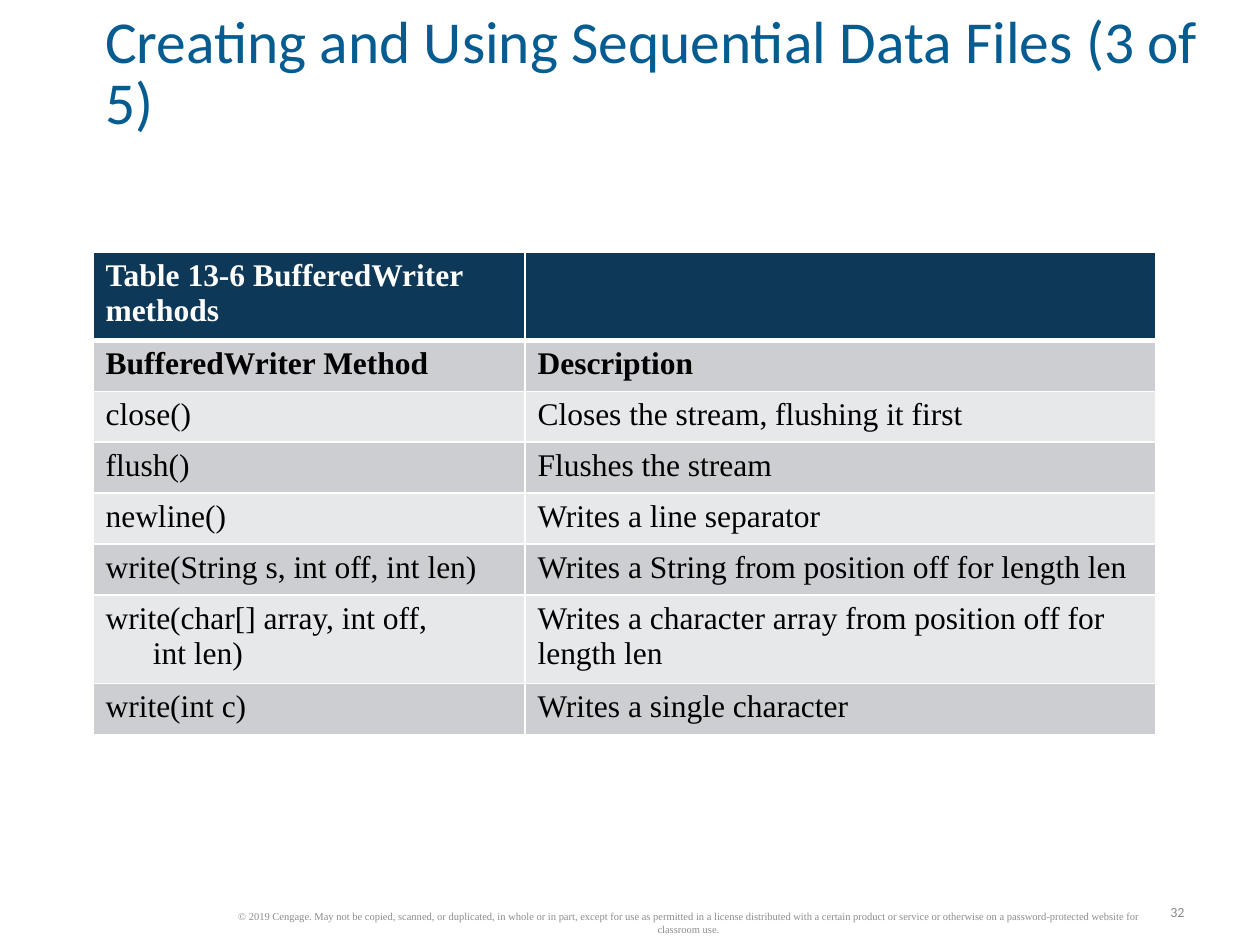
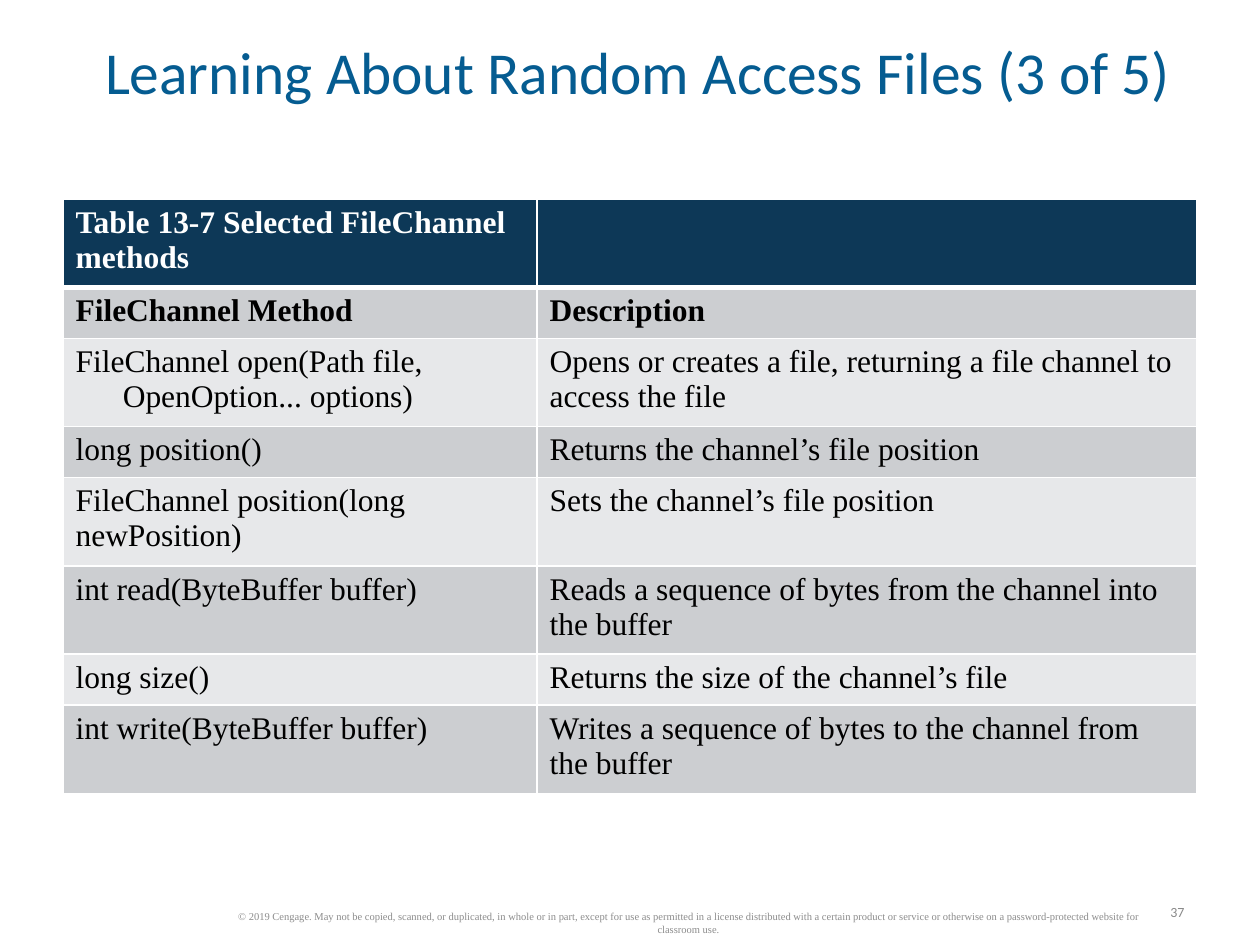
from dataclasses import dataclass

from lxml import etree
from pptx import Presentation
from pptx.dml.color import RGBColor
from pptx.enum.text import MSO_ANCHOR, MSO_AUTO_SIZE, PP_ALIGN
from pptx.oxml.ns import qn
from pptx.util import Emu, Pt

PX_PER_INCH = 126
EMU_PER_PX = 914400 / PX_PER_INCH
TITLE_ONLY = 5
MIDDLE = MSO_ANCHOR.MIDDLE
GROW = MSO_AUTO_SIZE.SHAPE_TO_FIT_TEXT
LEFT, CENTER, RIGHT = PP_ALIGN.LEFT, PP_ALIGN.CENTER, PP_ALIGN.RIGHT


@dataclass(frozen=True)
class Theme:
    heading_font: str = "Calibri"
    body_font: str = "Times New Roman"
    title_color: str = "055C91"
    header_fill: str = "0D3857"
    header_text: str = "FFFFFF"
    body_text: str = "000000"
    dark_band: str = "CCCED1"
    light_band: str = "E7E8EA"
    border: str = "FFFFFF"
    footer_color: str = "8C8C8C"
    number_color: str = "898989"
    title_size: int = 34
    table_size: int = 18
    number_size: int = 8
    footer_size: int = 6
    thin_line: int = 1
    thick_line: int = 3
    single_row: int = 51
    double_row: int = 88


COPYRIGHT = (
    "© 2019 Cengage. May not be copied, scanned, or duplicated, in whole or in part, "
    "except for use as permitted in a license distributed with a certain product or "
    "service or otherwise on a password-protected website for classroom use."
)

WRITER_METHODS = [
    ("Table 13-6 BufferedWriter methods", ""),
    ("BufferedWriter Method", "Description"),
    ("close()", "Closes the stream, flushing it first"),
    ("flush()", "Flushes the stream"),
    ("newline()", "Writes a line separator"),
    ("write(String s, int off, int len)",
     "Writes a String from position off for length len"),
    ("write(char[] array, int off,\n      int len)",
     "Writes a character array from position off for length len"),
    ("write(int c)", "Writes a single character"),
]

CHANNEL_METHODS = [
    ("Table 13-7 Selected FileChannel methods", ""),
    ("FileChannel Method", "Description"),
    ("FileChannel open(Path file,\n      OpenOption... options)",
     "Opens or creates a file, returning a file channel to access the file"),
    ("long position()", "Returns the channel’s file position"),
    ("FileChannel position(long newPosition)", "Sets the channel’s file position"),
    ("int read(ByteBuffer buffer)",
     "Reads a sequence of bytes from the channel into the buffer"),
    ("long size()", "Returns the size of the channel’s file"),
    ("int write(ByteBuffer buffer)",
     "Writes a sequence of bytes to the channel from the buffer"),
]


def emu(px):
    return Emu(round(px * EMU_PER_PX))


class Deck:
    def __init__(self, theme):
        self.theme = theme
        self.slide = None
        self.presentation = Presentation()
        self.presentation.slide_width = emu(10 * PX_PER_INCH)
        self.presentation.slide_height = emu(945)

    def set_text(self, frame, text, font, size, color, bold=False, align=LEFT):
        frame.text = text
        for paragraph in frame.paragraphs:
            paragraph.alignment = align
            paragraph.font.name = font
            paragraph.font.size = Pt(size)
            paragraph.font.bold = bold
            paragraph.font.color.rgb = RGBColor.from_string(color)

    def add_slide(self, title, title_width, number):
        """Start a slide with its title, page number and copyright line."""
        layout = self.presentation.slide_layouts[TITLE_ONLY]
        self.slide = self.presentation.slides.add_slide(layout)
        self.add_title(title, title_width)
        theme = self.theme
        page = self.add_text(str(number), (1154, 897, 43, 30), theme.heading_font,
                             theme.number_size, theme.number_color, RIGHT)
        page.word_wrap = False
        page.auto_size = GROW
        self.add_text(COPYRIGHT, (221, 906, 935, 34), theme.body_font,
                      theme.footer_size, theme.footer_color, CENTER)

    def add_title(self, text, width):
        theme = self.theme
        title = self.slide.shapes.title
        title.left, title.top, title.width, title.height = map(emu, (105, 45, width, 62))
        frame = title.text_frame
        frame.margin_left = frame.margin_right = frame.margin_top = frame.margin_bottom = 0
        frame.vertical_anchor = MIDDLE
        frame.word_wrap = True
        frame.auto_size = GROW
        self.set_text(frame, text, theme.heading_font, theme.title_size, theme.title_color)
        frame.paragraphs[0].line_spacing = 0.85

    def add_text(self, text, box, font, size, color, align):
        frame = self.slide.shapes.add_textbox(*map(emu, box)).text_frame
        frame.word_wrap = True
        frame.vertical_anchor = MIDDLE
        self.set_text(frame, text, font, size, color, align=align)
        return frame

    def add_method_table(self, rows, left, top, column_widths, double_rows):
        """Draw a banded table; double_rows are the rows that hold two lines."""
        theme = self.theme
        heights = [theme.double_row if index in double_rows else theme.single_row
                   for index in range(len(rows))]
        frame = self.slide.shapes.add_table(
            len(rows), len(column_widths),
            *map(emu, (left, top, sum(column_widths), sum(heights))))
        table = frame.table
        table.horz_banding = False
        for column, width in zip(table.columns, column_widths):
            column.width = emu(width)
        for index, (values, height) in enumerate(zip(rows, heights)):
            table.rows[index].height = emu(height)
            for column, value in enumerate(values):
                self.format_cell(table.cell(index, column), value, index)

    def format_cell(self, cell, text, row):
        theme = self.theme
        is_header = row == 0
        self.add_borders(cell, row)
        band = theme.dark_band if row % 2 else theme.light_band
        cell.fill.solid()
        cell.fill.fore_color.rgb = RGBColor.from_string(
            theme.header_fill if is_header else band)
        self.set_text(cell.text_frame, text, theme.body_font, theme.table_size,
                      theme.header_text if is_header else theme.body_text, bold=row < 2)

    def add_borders(self, cell, row):
        """Outline a cell, with a thick rule between rows 0 and 1."""
        theme = self.theme
        thick_side = {0: "lnB", 1: "lnT"}.get(row)
        properties = cell._tc.get_or_add_tcPr()
        for side in ("lnL", "lnR", "lnT", "lnB"):
            width = theme.thick_line if side == thick_side else theme.thin_line
            line = etree.SubElement(properties, qn(f"a:{side}"), w=str(Pt(width)))
            fill = etree.SubElement(line, qn("a:solidFill"))
            etree.SubElement(fill, qn("a:srgbClr"), val=theme.border)


def main():
    deck = Deck(Theme())

    deck.add_slide("Creating and Using Sequential Data Files (3 of 5)", 1144, 32)
    deck.add_method_table(WRITER_METHODS, 93, 252, (432, 631), {0, 6})

    deck.add_slide("Learning About Random Access Files (3 of 5)", 1106, 37)
    deck.add_method_table(CHANNEL_METHODS, 63, 199, (474, 660), {0, 2, 4, 5, 7})

    deck.presentation.save("out.pptx")


if __name__ == "__main__":
    main()
